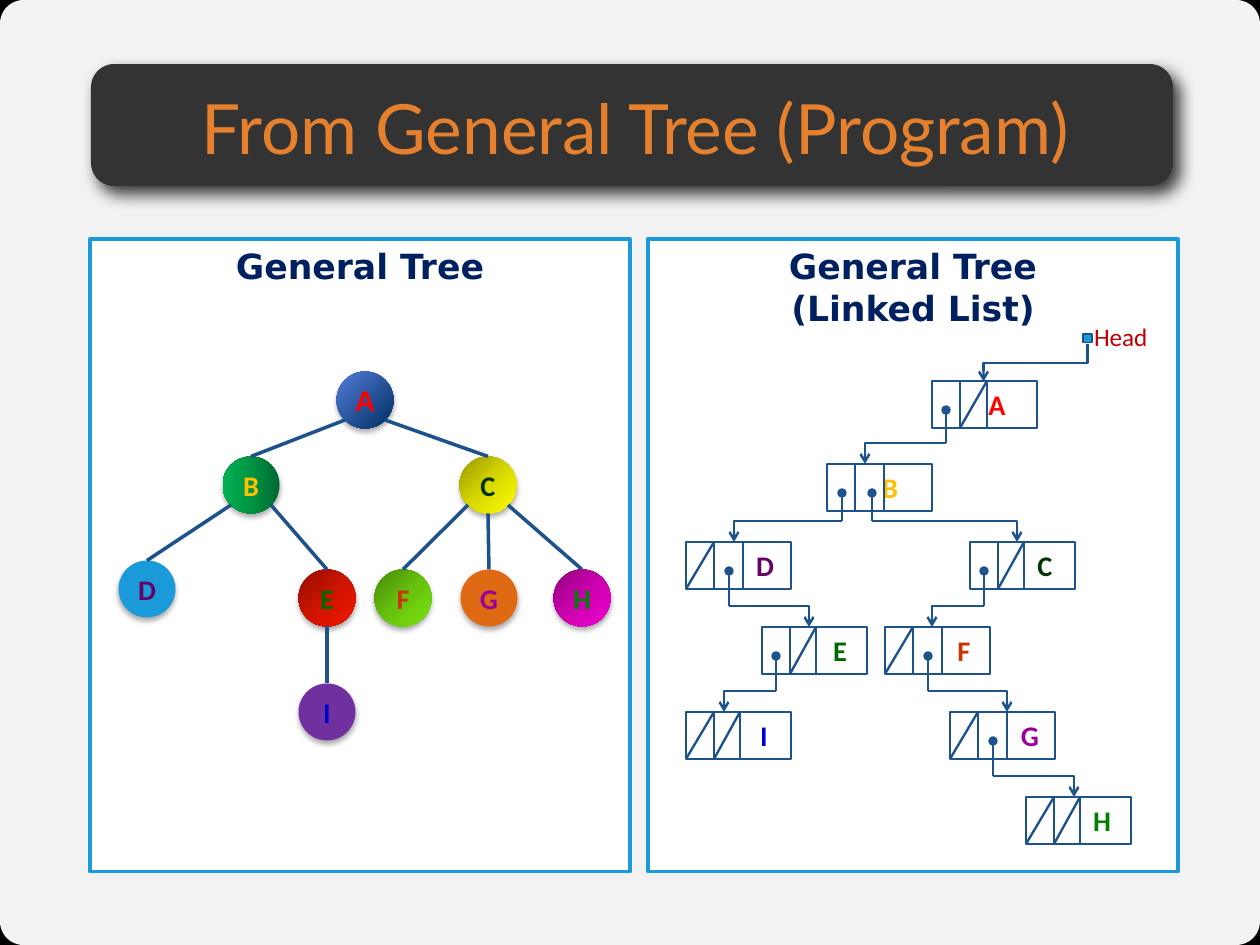
from lxml import etree
from pptx import Presentation
from pptx import util as u
from pptx.dml.color import RGBColor
from pptx.enum import shapes, text
from pptx.oxml import ns

BLACK = RGBColor(0, 0, 0)
WHITE = RGBColor(255, 255, 255)
CHARCOAL = RGBColor(0x33, 0x33, 0x33)
ORANGE = RGBColor(0xE5, 0x81, 0x2E)
SKY = RGBColor(0x1B, 0x9A, 0xD9)
NAVY = RGBColor(0x00, 0x20, 0x60)
INK = RGBColor(0x1D, 0x52, 0x8D)
CRIMSON = RGBColor(0xC0, 0, 0)

LETTERS = {
    "A": RGBColor(0xFF, 0, 0), "B": RGBColor(0xFF, 0xC0, 0), "C": RGBColor(0, 0x33, 0),
    "D": RGBColor(0x66, 0, 0x66), "E": RGBColor(0, 0x66, 0), "F": RGBColor(0xCC, 0x33, 0),
    "G": RGBColor(0x99, 0, 0x99), "H": RGBColor(0, 0x80, 0), "I": RGBColor(0, 0, 0xCC),
}
PANELS = [
    (90, 239, 540, 633, ["General Tree"]),
    (648, 239, 530, 633, ["General Tree", "(Linked List)"]),
]
# name: centre x, centre y, fill colours, gradient angle
NODES = {
    "A": (365, 400, ["547DD8", "003065"], 45),
    "B": (251, 485, ["00682F", "009443", "00B050"], 180),
    "C": (488, 485, ["979700", "D7D700", "FFFF00"], 45),
    "D": (147, 589, ["1B9AD9"], 0),
    "E": (327, 598, ["910E00", "CE1400", "F41700"], 45),
    "F": (403, 598, ["488809", "67C10D", "7AE50F"], 45),
    "G": (489, 598, ["DF6A13"], 0),
    "H": (582, 598, ["8F007B", "CC00AF", "F200CF"], 45),
    "I": (327, 712, ["7030A0"], 0),
}
# parent, child, side of the parent
BRANCHES = [("A", "B", -1), ("A", "C", 1), ("B", "D", -1), ("B", "E", 1),
            ("C", "F", -1), ("C", "G", 0), ("C", "H", 1), ("E", "I", 0)]
# name: left, top, second divider, label centre
CELLS = {
    "A": (932, 381, 55, 65), "B": (827, 464, 57, 63), "C": (970, 542, 54, 75),
    "D": (686, 542, 57, 79), "E": (762, 627, 54, 78), "F": (885, 627, 57, 79),
    "G": (950, 712, 57, 80), "H": (1026, 797, 54, 76), "I": (686, 712, 54, 78),
}
# parent, pointer field, child, start offset, landing offset
LINKS = [("A", 0, "B", 14, 38), ("B", 0, "D", 15, 48), ("B", 1, "C", 45, 47),
         ("D", 1, "E", 43, 47), ("C", 0, "F", 14, 47), ("E", 0, "I", 14, 38),
         ("F", 1, "G", 43, 57), ("G", 1, "H", 43, 48)]
DIAMETER = 57
CELL_WIDTH, CELL_HEIGHT, FIRST_DIVIDER = 105, 47, 28
SCALE = 914400 / 113.4


def px(*lengths):
    return [u.Emu(round(length * SCALE)) for length in lengths]


def child(parent, tag, **attributes):
    element = etree.SubElement(parent, ns.qn("a:" + tag))
    for name, value in attributes.items():
        element.set(name, str(value))
    return element


def add_box(kind, left, top, width, height, fill=None, line=None, weight=1.5):
    box = page.shapes.add_shape(kind, *px(left, top, width, height))
    box.shadow.inherit = False
    if fill is None:
        box.fill.background()
    else:
        box.fill.solid()
        box.fill.fore_color.rgb = fill
    if line is None:
        box.line.fill.background()
    else:
        box.line.color.rgb = line
        box.line.width = u.Pt(weight)
    return box


def add_shadow(box, alpha, blur, distance, angle):
    effects = box._element.spPr.find(ns.qn("a:effectLst"))
    shadow = child(effects, "outerShdw", blurRad=u.Pt(blur), dist=u.Pt(distance),
                   dir=angle * 60000, algn="ctr", rotWithShape=0)
    child(child(shadow, "srgbClr", val="000000"), "alpha", val=alpha * 1000)


def add_gradient(box, colours, angle):
    box.fill.gradient()
    gradient = box._element.spPr.find(ns.qn("a:gradFill"))
    for element in list(gradient):
        gradient.remove(element)
    stops = child(gradient, "gsLst")
    for index, colour in enumerate(colours):
        stop = child(stops, "gs", pos=100000 * index // (len(colours) - 1))
        child(stop, "srgbClr", val=colour)
    child(gradient, "lin", ang=angle * 60000, scaled=0)


def write(box, lines, size, font, colour, bold=False, align=text.PP_ALIGN.CENTER,
          anchor=text.MSO_ANCHOR.MIDDLE, margins=(0, 0, 0, 0)):
    frame = box.text_frame
    frame.word_wrap = True
    frame.vertical_anchor = anchor
    (frame.margin_left, frame.margin_top,
     frame.margin_right, frame.margin_bottom) = px(*margins)
    for index, line in enumerate(lines):
        para = frame.add_paragraph() if index else frame.paragraphs[0]
        para.alignment = align
        span = para.add_run()
        span.text = line
        span.font.size = u.Pt(size)
        span.font.name = font
        span.font.bold = bold
        span.font.color.rgb = colour


def add_line(start, end, weight=1.5, kind=shapes.MSO_CONNECTOR.STRAIGHT, head=None, tail=None):
    line = page.shapes.add_connector(kind, *px(*start, *end))
    line.line.color.rgb = INK
    line.line.width = u.Pt(weight)
    stroke = line.line._get_or_add_ln()
    if head:
        child(stroke, "headEnd", type=head)
    if tail:
        child(stroke, "tailEnd", type=tail)
    child(line._element.spPr, "effectLst")
    return line


deck = Presentation()
deck.slide_width, deck.slide_height = px(1260, 945)
page = deck.slides.add_slide(deck.slide_layouts[6])
page.background.fill.solid()
page.background.fill.fore_color.rgb = BLACK

RECT = shapes.MSO_SHAPE.RECTANGLE
ROUNDED = shapes.MSO_SHAPE.ROUNDED_RECTANGLE
ELBOW = shapes.MSO_CONNECTOR.ELBOW

backdrop = add_box(ROUNDED, 0, 0, 1260, 945, WHITE)
backdrop.adjustments[0] = 0.025
child(backdrop._element.spPr.find(".//" + ns.qn("a:srgbClr")), "alpha", val=95000)

banner = add_box(ROUNDED, 91, 64, 1082, 122, CHARCOAL)
banner.adjustments[0] = 0.19
add_shadow(banner, 75, 10, 6, 51)
title = page.shapes.add_textbox(*px(97, 70, 1077, 113))
write(title, ["From General Tree (Program)"], 44, "Lato", ORANGE)

for left, top, width, height, heading in PANELS:
    panel = add_box(RECT, left, top, width, height, WHITE, SKY, 2)
    write(panel, heading, 22, "DejaVu Sans", NAVY, True,
          anchor=text.MSO_ANCHOR.TOP, margins=(11, 6, 11, 6))

for name, (x, y, colours, angle) in NODES.items():
    node = add_box(shapes.MSO_SHAPE.OVAL, x - DIAMETER / 2, y - DIAMETER / 2,
                   DIAMETER, DIAMETER, RGBColor.from_string(colours[0]))
    if len(colours) > 1:
        add_gradient(node, colours, angle)
    add_shadow(node, 32, 3.5, 2.2, 90)
    write(node, [name], 18, "Arial" if name == "A" else "Calibri", LETTERS[name], True)

for parent, kid, side in BRANCHES:
    x, y = NODES[parent][:2]
    kid_x, kid_y = NODES[kid][:2]
    drop = 20 if side else DIAMETER / 2
    add_line((x + 20 * side, y + drop), (kid_x, kid_y - DIAMETER / 2), 2.25)

used_fields = {(parent, field) for parent, field, *rest in LINKS}
for name, (left, top, divider, centre) in CELLS.items():
    cell = add_box(RECT, left, top, CELL_WIDTH, CELL_HEIGHT, line=INK)
    write(cell, [name], 18, "Calibri", LETTERS[name], True,
          margins=(2 * centre - CELL_WIDTH, 0, 0, 0))
    edges = [left, left + FIRST_DIVIDER, left + divider]
    bottom = top + CELL_HEIGHT
    for field in range(2):
        near, far = edges[field:field + 2]
        add_line((far, top), (far, bottom))
        if (name, field) not in used_fields:
            add_line((far, top), (near, bottom))

for parent, field, kid, start, landing in LINKS:
    x, y = CELLS[parent][0] + start, CELLS[parent][1] + 29
    kid_x, kid_y = CELLS[kid][0] + landing, CELLS[kid][1]
    bend = kid_y - 21
    add_line((x, y), (x, bend), head="oval")
    hook = add_line((x, bend), (kid_x, kid_y), kind=ELBOW, tail="arrow")
    hook._element.spPr.find(ns.qn("a:prstGeom")).set("prst", "bentConnector2")

add_box(RECT, 1083, 334, 9, 9, SKY, INK, 0.75)
head_arrow = add_line((1017, 311), (1054, 415), kind=ELBOW, tail="arrow")
head_arrow._element.spPr.find(ns.qn("a:xfrm")).set("rot", "5400000")
head_label = page.shapes.add_textbox(*px(1083, 315, 94, 42))
write(head_label, ["Head"], 16, "Calibri", CRIMSON, align=text.PP_ALIGN.LEFT,
      margins=(11, 6, 11, 6))

deck.save("out.pptx")
